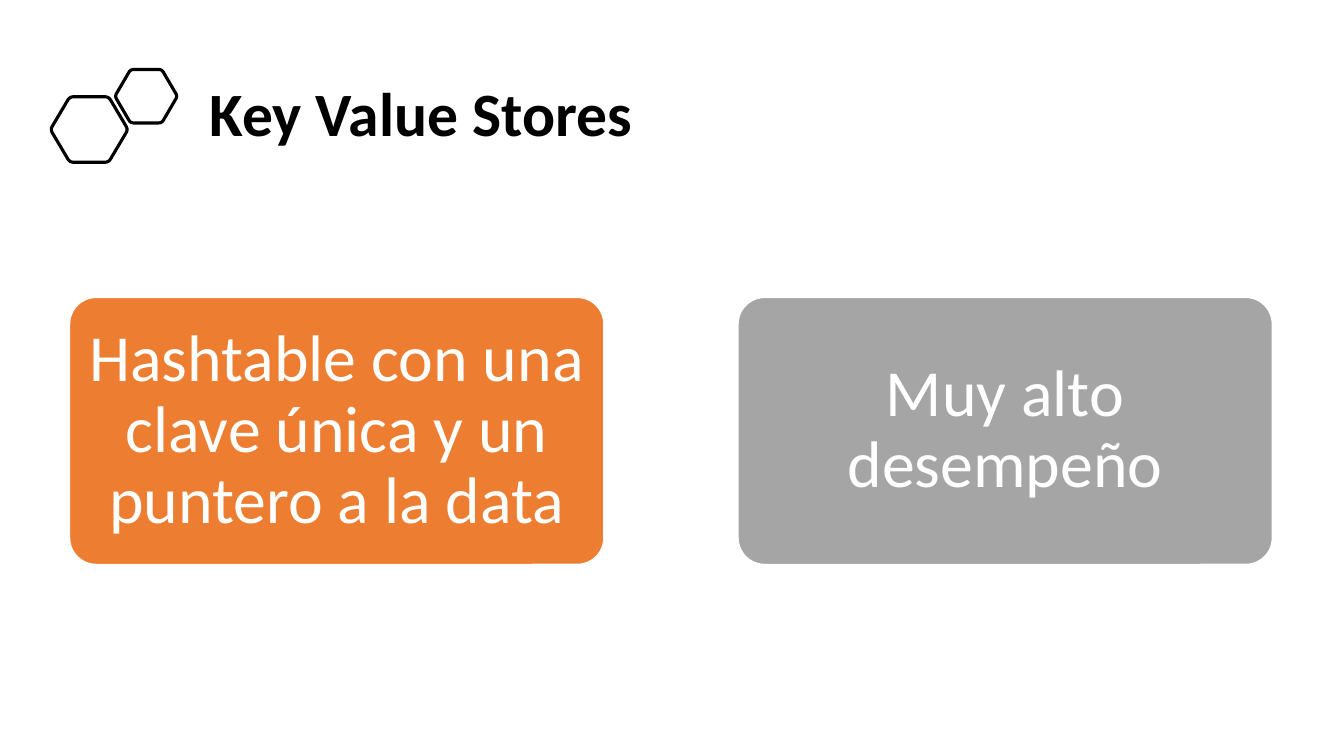
from pptx import Presentation
from pptx.dml.color import RGBColor
from pptx.enum import shapes, text
from pptx.util import Pt

PX = 9144  # 100 px to the inch
FONT = "Calibri"
BLACK, WHITE, ORANGE, GREY = "000000", "FFFFFF", "ED7D31", "A5A5A5"


def px(*lengths):
    return [round(length * PX) for length in lengths]


def colour(value):
    return RGBColor.from_string(value)


def write(box, words, size, shade, align, bold=False):
    frame = box.text_frame
    frame.word_wrap = True
    frame.auto_size = text.MSO_AUTO_SIZE.NONE
    frame.vertical_anchor = text.MSO_ANCHOR.MIDDLE
    para = frame.paragraphs[0]
    para.alignment = align
    para.line_spacing = 0.9
    para.space_before = Pt(0)
    span = para.add_run()
    span.text = words
    span.font.name = FONT
    span.font.size = Pt(size)
    span.font.bold = bold
    span.font.color.rgb = colour(shade)


def add_title(page, left, top, width, height, words):
    title = page.shapes.title
    title.left, title.top, title.width, title.height = px(left, top, width, height)
    write(title, words, 44, BLACK, text.PP_ALIGN.LEFT, bold=True)


def add_hexagon(page, left, top, width, height):
    """Outline a hexagon whose corners are rounded by short curves."""
    inset, middle = width / 4, top + height / 2
    right, bottom = left + width, top + height
    corners = [(left, middle), (left + inset, top), (right - inset, top),
               (right, middle), (right - inset, bottom), (left + inset, bottom)]
    cut, steps = 0.1, 6  # share of each side taken by a corner, points per curve
    points = []
    for index, corner in enumerate(corners):
        before, after = corners[index - 1], corners[(index + 1) % 6]
        for step in range(steps + 1):
            t = step / steps
            points.append(px(*(c + cut * ((1 - t) ** 2 * (b - c) + t ** 2 * (a - c))
                               for b, c, a in zip(before, corner, after))))
    builder = page.shapes.build_freeform(*points[0])
    builder.add_line_segments(points[1:], close=True)
    hexagon = builder.convert_to_shape()
    hexagon.shadow.inherit = False
    hexagon.fill.background()
    hexagon.line.color.rgb = colour(BLACK)
    hexagon.line.width = Pt(2.25)


def add_card(page, left, top, width, height, words, fill):
    card = page.shapes.add_shape(shapes.MSO_SHAPE.ROUNDED_RECTANGLE,
                                 *px(left, top, width, height))
    card.adjustments[0] = 0.1
    card.shadow.inherit = False
    card.fill.solid()
    card.fill.fore_color.rgb = colour(fill)
    card.line.color.rgb = colour(WHITE)
    card.line.width = Pt(1)
    frame = card.text_frame
    # The rounded rectangle itself adds about 8 px inside its edges.
    frame.margin_left = frame.margin_right = px(10)[0]
    frame.margin_top = frame.margin_bottom = px(7)[0]
    write(card, words, 47, WHITE, text.PP_ALIGN.CENTER)


def add_cards(page, left, top, width, height, cards):
    card_width = 530
    pitch = (width - card_width) / (len(cards) - 1)
    for index, (words, fill) in enumerate(cards):
        add_card(page, left + index * pitch, top, card_width, height, words, fill)


def main():
    deck = Presentation()
    deck.slide_width, deck.slide_height = px(1333, 750)
    page = deck.slides.add_slide(deck.slide_layouts[5])
    add_title(page, 198, 57, 1081, 117, "Key Value Stores")
    add_hexagon(page, 50, 96, 77, 65)
    add_hexagon(page, 114, 69, 62, 53)
    add_cards(page, 69, 295, 1193, 265, [
        ("Hashtable con una clave única y un puntero a la data", ORANGE),
        ("Muy alto desempeño", GREY),
    ])
    deck.save("out.pptx")


if __name__ == "__main__":
    main()
